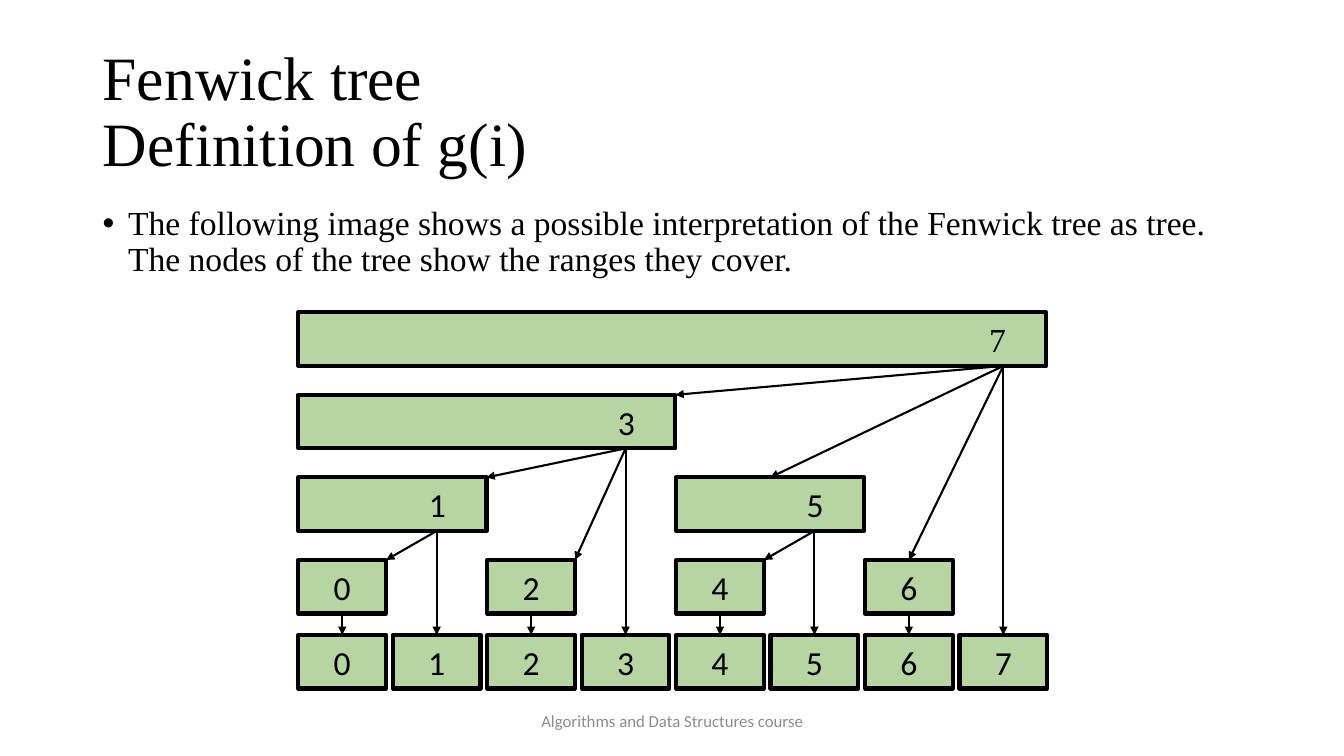
from pptx import Presentation
from pptx.dml.color import RGBColor
from pptx.enum.shapes import MSO_CONNECTOR as Connector, MSO_SHAPE as Shape
from pptx.enum.text import MSO_ANCHOR as Anchor, PP_ALIGN as Align
from pptx.oxml.ns import qn
from pptx.util import Cm, Pt
from lxml.etree import SubElement

SERIF, SANS = "Times New Roman", "Calibri"
BLACK, GREEN, GREY = "000000", "70AD47", "8C8C8C"


def color(hex_value):
    return RGBColor.from_string(hex_value)


def write(paragraph, text, size, font, hex_value=BLACK):
    run = paragraph.add_run()
    run.text = text
    run.font.size = Pt(size)
    run.font.name = font
    run.font.color.rgb = color(hex_value)


deck = Presentation()
deck.slide_width, deck.slide_height = Cm(33.87), Cm(19.05)
slide = deck.slides.add_slide(deck.slide_layouts[6])
shapes = slide.shapes

# Title
title = shapes.add_textbox(Cm(2.34), Cm(1.02), Cm(29.21), Cm(3.68)).text_frame
title.word_wrap = True
title.vertical_anchor = Anchor.MIDDLE
heading = title.paragraphs[0]
heading.line_spacing = 0.9
write(heading, "Fenwick tree", 44, SERIF)
heading.add_line_break()
write(heading, "Definition of g(i)", 44, SERIF)

# Footer
footer = shapes.add_textbox(Cm(11.23), Cm(17.65), Cm(11.43), Cm(1.02)).text_frame
footer.word_wrap = True
footer.vertical_anchor = Anchor.MIDDLE
footer.paragraphs[0].alignment = Align.CENTER
write(footer.paragraphs[0], "Algorithms and Data Structures course", 12, SANS, GREY)

# Explanation with bullet
body = shapes.add_textbox(Cm(2.34), Cm(5.08), Cm(29.21), Cm(12.09)).text_frame
body.word_wrap = True
explanation = body.paragraphs[0]
explanation.line_spacing = 0.9
explanation.space_before = Pt(10)
write(explanation, "The following image shows a possible interpretation of the Fenwick tree as tree. "
      "The nodes of the tree show the ranges they cover.", 24, SERIF)
bullet_props = explanation._p.get_or_add_pPr()
bullet_props.set("marL", str(Cm(0.64)))
bullet_props.set("indent", str(-Cm(0.64)))
SubElement(bullet_props, qn("a:buFont")).set("typeface", "Arial")
SubElement(bullet_props, qn("a:buChar")).set("char", "•")

# Grid of the tree
LEFT, COLUMN, TOP, LEVEL = 7.52, 2.38, 7.87, 2.08
LEAF_TOP, BOX_HEIGHT = 16, 1.35
WIDTHS = {8: 18.85, 4: 9.5, 2: 4.74, 1: 2.21}  # by number of covered values

# Ranges: last index, number of covered values, level
RANGES = [(7, 8, 0), (3, 4, 1), (1, 2, 2), (5, 2, 2),
          (0, 1, 3), (2, 1, 3), (4, 1, 3), (6, 1, 3)]
boxes = [("node", index, covered, TOP + level * LEVEL) for index, covered, level in RANGES]
boxes += [("leaf", index, 1, LEAF_TOP) for index in range(8)]

# Nodes and leaves
tree = {"node": {}, "leaf": {}}
for row, index, covered, top in boxes:
    first = index - covered + 1
    box = shapes.add_shape(Shape.RECTANGLE, Cm(LEFT + first * COLUMN), Cm(top),
                           Cm(WIDTHS[covered]), Cm(BOX_HEIGHT))
    box.shadow.inherit = False
    box.fill.solid()
    box.fill.fore_color.rgb = color(GREEN)
    fill_color = box._element.xpath("./p:spPr/a:solidFill/a:srgbClr")[0]
    SubElement(fill_color, qn("a:alpha")).set("val", "50000")
    box.line.color.rgb = color(BLACK)
    box.line.width = Pt(3)
    label = box.text_frame
    label.vertical_anchor = Anchor.MIDDLE
    label.paragraphs[0].alignment = Align.CENTER
    if covered > 1:
        label.paragraphs[0].alignment = Align.RIGHT
        label.margin_right = Cm(1.02)
    write(label.paragraphs[0], str(index), 24, SERIF if covered == 8 else SANS)
    tree[row][index] = box

# Arrows: parent index, child row, child index, where the arrow ends
arrows = [(index, "leaf", index, "top") for index in range(8)]
arrows += [(1, "node", 0, "corner"), (5, "node", 4, "corner"), (7, "node", 6, "top"),
           (7, "node", 5, "top"), (7, "node", 3, "corner"), (3, "node", 1, "corner"),
           (3, "node", 2, "corner")]
for parent_index, row, child_index, target in arrows:
    parent, child = tree["node"][parent_index], tree[row][child_index]
    start_x = Cm(LEFT + parent_index * COLUMN + WIDTHS[1] / 2)
    arrow = shapes.add_connector(Connector.STRAIGHT, start_x, parent.top + parent.height,
                                 child.left + child.width, child.top)
    if parent.width == Cm(WIDTHS[1]):
        arrow.begin_connect(parent, 2)
    if target == "top":
        arrow.end_connect(child, 0)
    arrow.line.color.rgb = color(BLACK)
    arrow.line.width = Pt(1.5)
    SubElement(arrow.line._get_or_add_ln(), qn("a:tailEnd")).set("type", "triangle")
    SubElement(arrow._element.spPr, qn("a:effectLst"))

deck.save("out.pptx")
